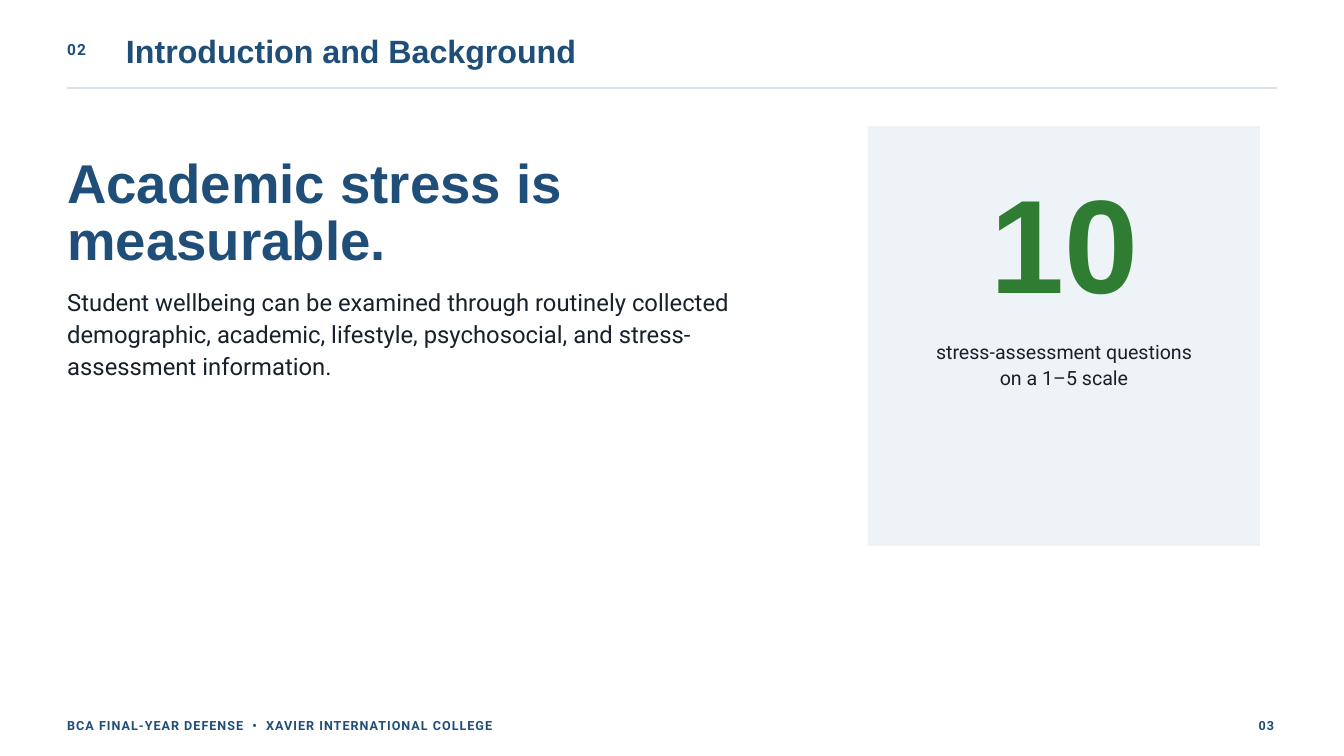
from lxml import etree
from pptx import Presentation
from pptx.dml.color import RGBColor
from pptx.enum.shapes import MSO_CONNECTOR, MSO_SHAPE
from pptx.enum.text import MSO_AUTO_SIZE, PP_ALIGN
from pptx.oxml.ns import qn
from pptx.util import Pt

LEFT, CENTER, RIGHT = PP_ALIGN.LEFT, PP_ALIGN.CENTER, PP_ALIGN.RIGHT
RECTANGLE = MSO_SHAPE.RECTANGLE
STRAIGHT = MSO_CONNECTOR.STRAIGHT
GROW = MSO_AUTO_SIZE.SHAPE_TO_FIT_TEXT

NAVY, INK, GREEN = "1F4E79", "17212B", "2E7D32"
RULE, PANEL = "D9E1E8", "EEF3F7"

SLIDE_WIDTH, SLIDE_HEIGHT = 1440, 810
MARGIN = 72
CARD_LEFT, CARD_TOP, CARD_WIDTH, CARD_HEIGHT = 930, 135, 420, 450
CARD_TEXT_WIDTH = 300
CARD_TEXT_LEFT = CARD_LEFT + (CARD_WIDTH - CARD_TEXT_WIDTH) / 2
FOOTER_TOP = 766.8

# Text styles: font values, line spacing and letter spacing in points
STYLES = {
    "section": ({"name": "Roboto", "size": Pt(16.5), "bold": True}, NAVY, 23.1, 1.3),
    "title": ({"name": "Arial", "size": Pt(34.5), "bold": True}, NAVY, 36.2, 0),
    "headline": ({"name": "Arial", "size": Pt(58.5), "bold": True}, NAVY, 61.4, 0),
    "body": ({"name": "Roboto", "size": Pt(25.5)}, INK, 34.4, 0),
    "number": ({"name": "Arial", "size": Pt(142.5), "bold": True}, GREEN, 149.6, 0),
    "caption": ({"name": "Roboto", "size": Pt(21)}, INK, 28.4, 0),
    "footer": ({"name": "Roboto", "size": Pt(13.5), "bold": True}, NAVY, 18.9, 1.1),
}


def color(value):
    return RGBColor.from_string(value)


def add_text(slide, box, style, lines, alignment=LEFT):
    font_values, font_color, line_spacing, letter_spacing = STYLES[style]
    frame = slide.shapes.add_textbox(*map(Pt, box)).text_frame
    frame_values = {
        "margin_left": 0, "margin_top": 0, "margin_right": 0, "margin_bottom": 0,
        "word_wrap": True, "auto_size": GROW,
    }
    for name, value in frame_values.items():
        setattr(frame, name, value)
    for index, line in enumerate(lines):
        paragraph = frame.add_paragraph() if index else frame.paragraphs[0]
        paragraph.alignment = alignment
        paragraph.line_spacing = Pt(line_spacing)
        run = paragraph.add_run()
        run.text = line
        for name, value in font_values.items():
            setattr(run.font, name, value)
        run.font.color.rgb = color(font_color)
        if letter_spacing:
            run._r.get_or_add_rPr().set("spc", str(round(letter_spacing * 100)))


def add_rule(slide, left, right, top, line_color, width):
    line = slide.shapes.add_connector(STRAIGHT, Pt(left), Pt(top), Pt(right), Pt(top))
    line.line.color.rgb = color(line_color)
    line.line.width = Pt(width)
    etree.SubElement(line._element.spPr, qn("a:effectLst"))


def add_panel(slide, box, fill_color):
    shape = slide.shapes.add_shape(RECTANGLE, *map(Pt, box))
    shape.shadow.inherit = False
    shape.fill.solid()
    shape.fill.fore_color.rgb = color(fill_color)
    shape.line.fill.background()


def main():
    presentation = Presentation()
    presentation.slide_width = Pt(SLIDE_WIDTH)
    presentation.slide_height = Pt(SLIDE_HEIGHT)
    slide = presentation.slides.add_slide(presentation.slide_layouts[6])

    # Header
    add_text(slide, (MARGIN, 39.6, 60, 21.6), "section", ["02"])
    add_text(slide, (135, 39, 1125, 39.6), "title", ["Introduction and Background"])
    add_rule(slide, MARGIN, SLIDE_WIDTH - MARGIN, 94.5, RULE, 2)

    # Main statement
    add_text(slide, (MARGIN, 168.5, 840, 126.7), "headline",
             ["Academic stress is measurable."])
    add_text(slide, (MARGIN, 304.5, 735, 100), "body",
             ["Student wellbeing can be examined through routinely collected "
              "demographic, academic, lifestyle, psychosocial, and "
              "stress-assessment information."])

    # Key figure card
    add_panel(slide, (CARD_LEFT, CARD_TOP, CARD_WIDTH, CARD_HEIGHT), PANEL)
    add_text(slide, (CARD_TEXT_LEFT, 193, CARD_TEXT_WIDTH, 157.7), "number",
             ["10"], CENTER)
    add_text(slide, (CARD_TEXT_LEFT, 360.7, CARD_TEXT_WIDTH, 55.4), "caption",
             ["stress-assessment questions", "on a 1–5 scale"], CENTER)

    # Footer
    add_text(slide, (MARGIN, FOOTER_TOP, 1087, 18), "footer",
             ["BCA FINAL-YEAR DEFENSE  •  XAVIER INTERNATIONAL COLLEGE"])
    add_text(slide, (1297.5, FOOTER_TOP, 67.5, 18), "footer", ["03"], RIGHT)

    presentation.save("out.pptx")


if __name__ == "__main__":
    main()
